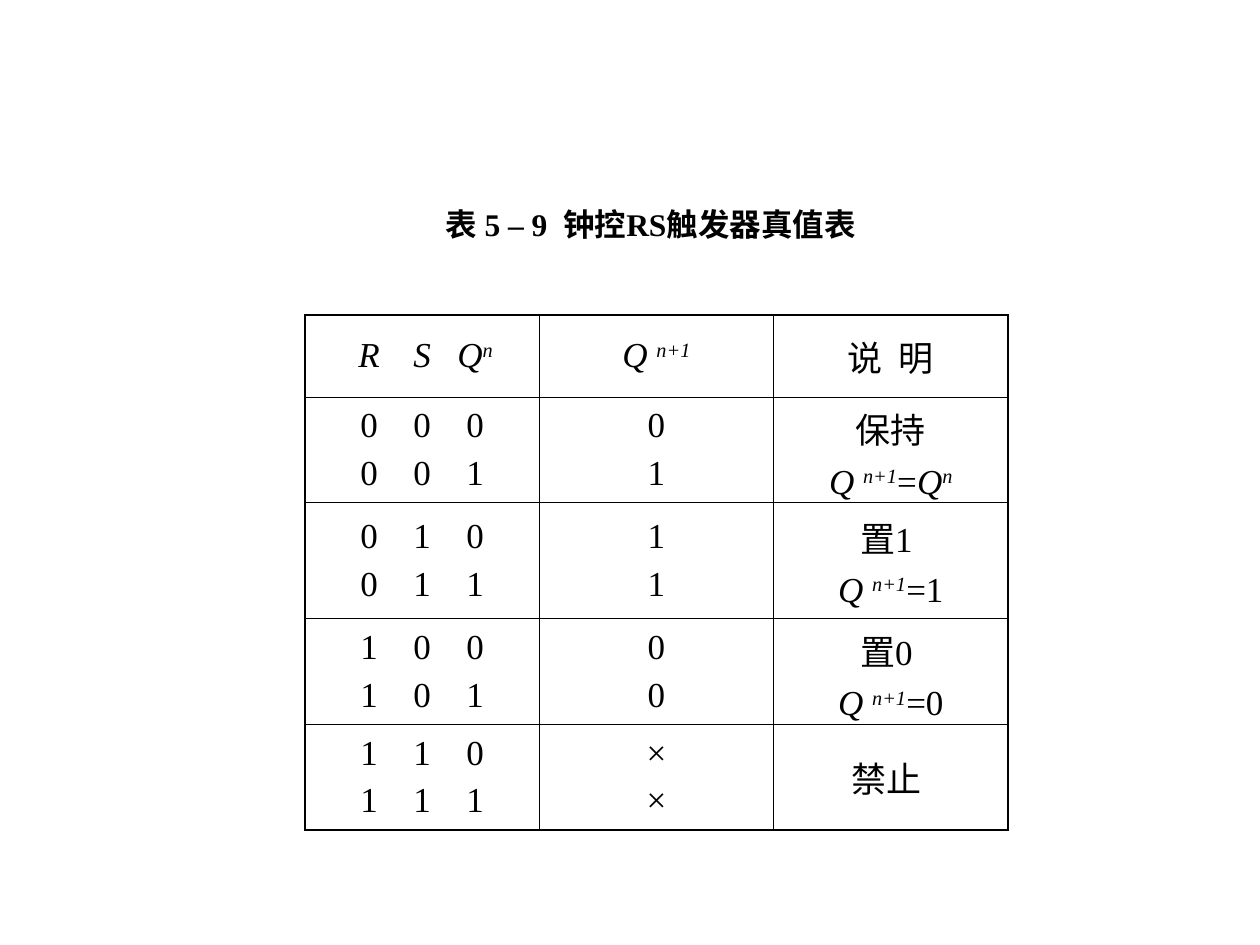
from dataclasses import dataclass

from lxml import etree
from pptx import Presentation
from pptx import util as u
from pptx.dml.color import RGBColor
from pptx.enum import text
from pptx.oxml import ns


@dataclass(frozen=True)
class Theme:
    ink: str = "000000"
    font: str = "Times New Roman"
    title_size: int = 18
    table_size: int = 20
    outer_rule: float = 1.08
    inner_rule: float = 0.45
    line_gap: int = 5


THEME = Theme()

COLUMN_WIDTH = 1.86
ROW_HEIGHTS = [0.65, 0.84, 0.92, 0.84, 0.84]
INPUT_STOPS = [0.41, 0.83, 1.25]

# A line of a cell is a list of (wording, style) runs.
NEXT_STATE = [("Q ", "variable"), ("n+1", "superscript")]
STATE = [("Q", "variable"), ("n", "superscript")]


def plain(*lines):
    return [[(line, "plain")] for line in lines]


def next_state_is(value):
    return NEXT_STATE + [("=" + value, "plain")]


HEADER = [
    [[("\tR\tS\tQ", "variable"), ("n", "superscript")]],
    [NEXT_STATE],
    plain("说  明"),
]

# R and S, next states for present state 0 and 1, meaning
CASES = [
    ("00", "01", plain("保持") + [next_state_is("") + STATE]),
    ("01", "11", plain("置1 ") + [next_state_is("1")]),
    ("10", "00", plain("置0 ") + [next_state_is("0")]),
    ("11", "××", plain("禁止 ")),
]


def add_run(paragraph, wording, size, style="plain", bold=False):
    run = paragraph.add_run()
    run.text = wording
    font = run.font
    font.name = THEME.font
    font.size = u.Pt(size)
    font.bold = bold
    font.italic = style != "plain"
    font.color.rgb = RGBColor.from_string(THEME.ink)
    if style == "superscript":
        run._r.get_or_add_rPr().set("baseline", "30000")


def add_center_tabs(paragraph, stops):
    tab_list = etree.SubElement(paragraph._p.get_or_add_pPr(), ns.qn("a:tabLst"))
    for stop in stops:
        etree.SubElement(tab_list, ns.qn("a:tab"),
                         pos=str(u.Inches(stop)), algn="ctr")


def add_title(slide, wording):
    title = slide.shapes.add_textbox(
        u.Inches(3.44), u.Inches(1.58), u.Inches(3.75), u.Inches(0.4))
    frame = title.text_frame
    frame.word_wrap = False
    frame.auto_size = text.MSO_AUTO_SIZE.SHAPE_TO_FIT_TEXT
    add_run(frame.paragraphs[0], wording, THEME.title_size, bold=True)


def rule_cell(cell, outer_sides):
    """Draw the four borders, heavier on the table's outer edge."""
    properties = cell._tc.get_or_add_tcPr()
    for side in "LRTB":
        weight = THEME.outer_rule if side in outer_sides else THEME.inner_rule
        line = etree.SubElement(properties, ns.qn("a:ln" + side),
                                w=str(u.Pt(weight)))
        fill = etree.SubElement(line, ns.qn("a:solidFill"))
        etree.SubElement(fill, ns.qn("a:srgbClr"), val=THEME.ink)
    cell.fill.background()


def fill_cell(cell, lines, stops=()):
    cell.vertical_anchor = text.MSO_ANCHOR.MIDDLE
    frame = cell.text_frame
    for index, runs in enumerate(lines):
        paragraph = frame.add_paragraph() if index else frame.paragraphs[0]
        if index:
            paragraph.space_before = u.Pt(THEME.line_gap)
        if stops:
            paragraph.alignment = text.PP_ALIGN.LEFT
            add_center_tabs(paragraph, stops)
        else:
            paragraph.alignment = text.PP_ALIGN.CENTER
        for wording, style in runs:
            add_run(paragraph, wording, THEME.table_size, style)


def truth_rows():
    yield HEADER
    for inputs, outputs, meaning in CASES:
        states = ["".join("\t" + bit for bit in inputs + present)
                  for present in "01"]
        yield [plain(*states), plain(*outputs), meaning]


def add_truth_table(slide):
    rows = list(truth_rows())
    last_row, last_column = len(rows) - 1, len(HEADER) - 1
    table = slide.shapes.add_table(
        len(rows), len(HEADER), u.Inches(2.42), u.Inches(2.5),
        u.Inches(COLUMN_WIDTH * len(HEADER)), u.Inches(sum(ROW_HEIGHTS))).table
    table.first_row = table.horz_banding = False
    for column in table.columns:
        column.width = u.Inches(COLUMN_WIDTH)
    for r, (row, height) in enumerate(zip(rows, ROW_HEIGHTS)):
        table.rows[r].height = u.Inches(height)
        for c, lines in enumerate(row):
            edges = {"L": c == 0, "R": c == last_column,
                     "T": r == 0, "B": r == last_row}
            cell = table.cell(r, c)
            rule_cell(cell, [side for side, outer in edges.items() if outer])
            fill_cell(cell, lines, INPUT_STOPS if c == 0 else ())


def main():
    deck = Presentation()
    deck.slide_width, deck.slide_height = u.Inches(10), u.Inches(7.5)
    slide = deck.slides.add_slide(deck.slide_layouts[6])
    add_title(slide, "表 5 – 9  钟控RS触发器真值表")
    add_truth_table(slide)
    deck.save("out.pptx")


if __name__ == "__main__":
    main()
